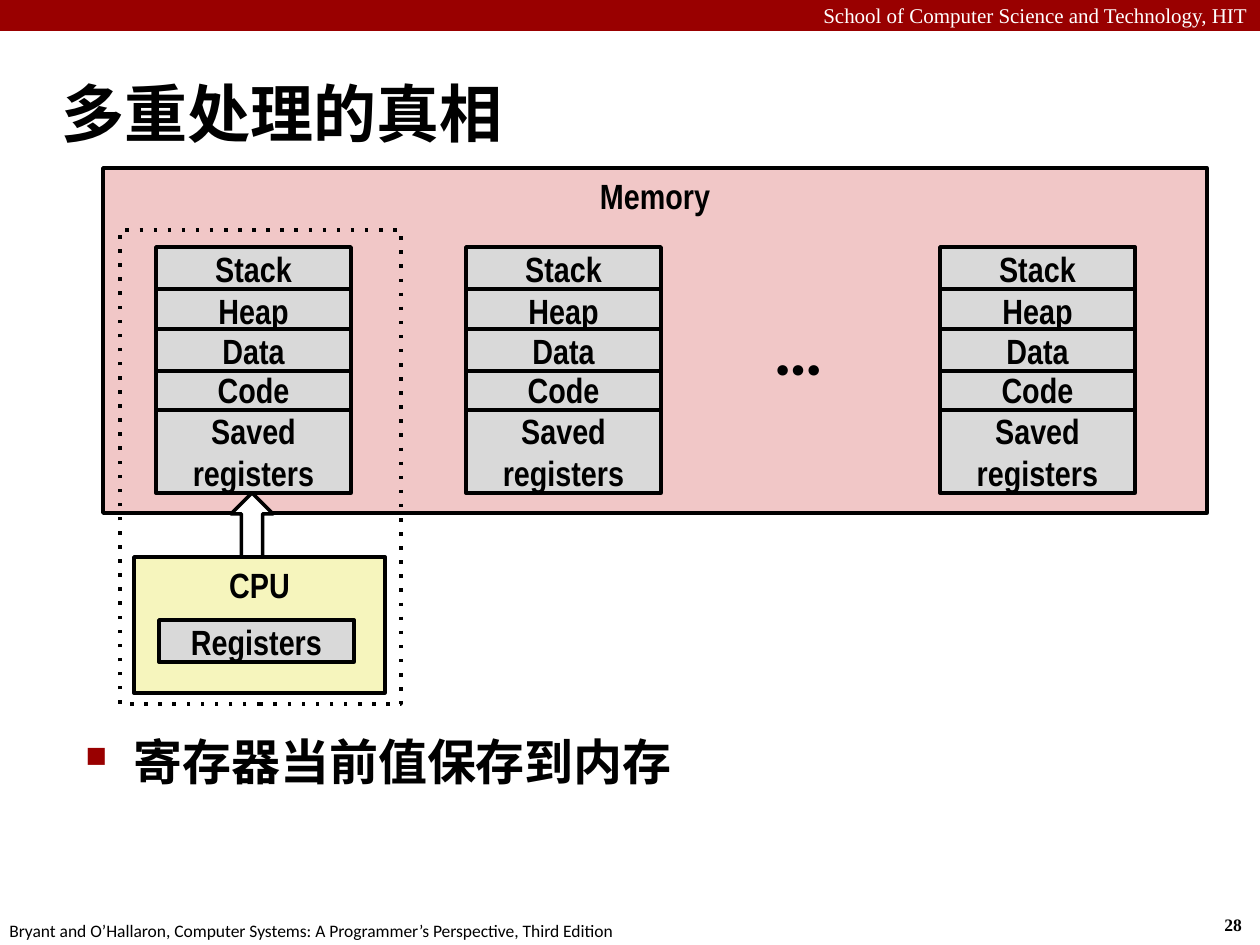
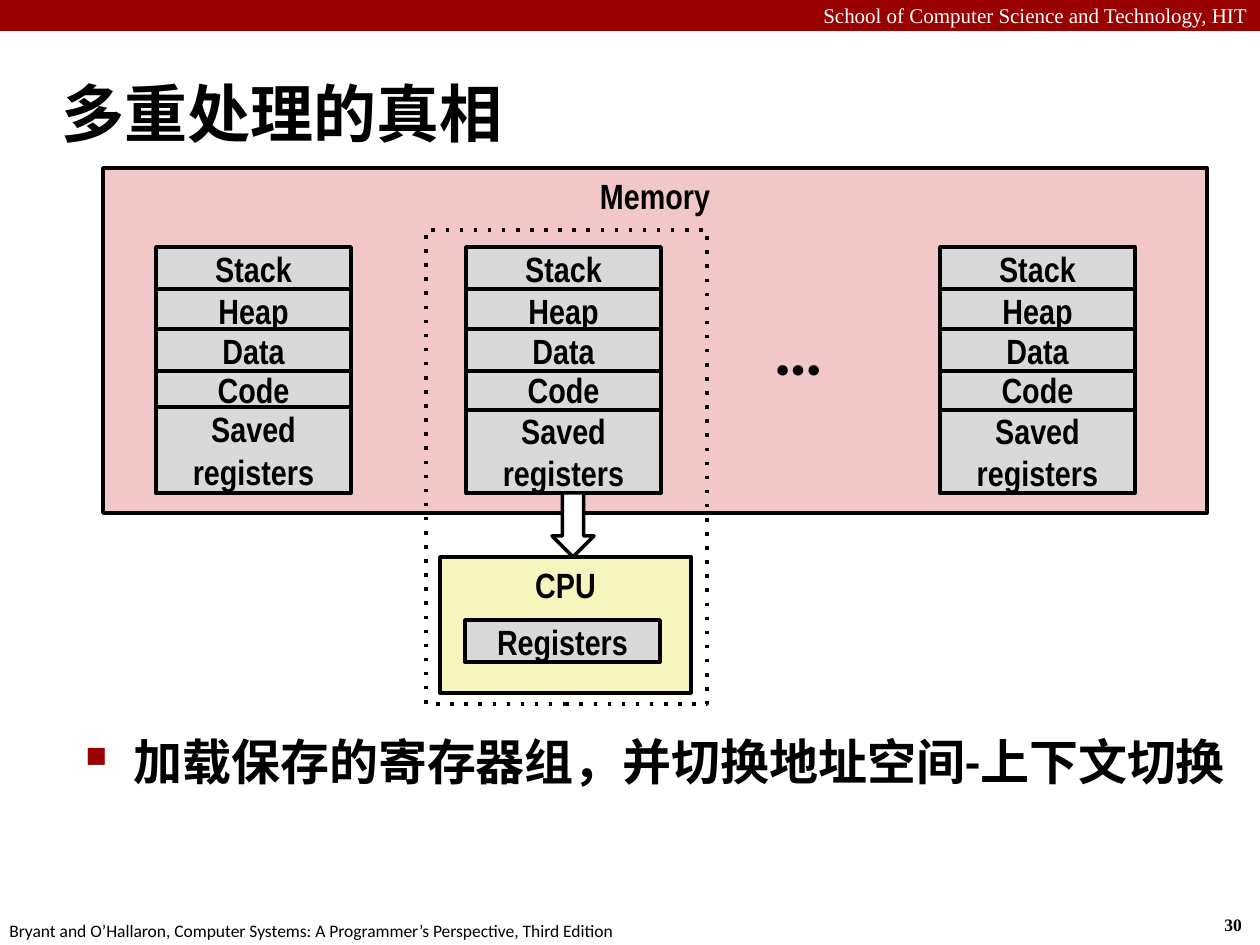
"""Build two slides on how one CPU switches between processes."""
from dataclasses import dataclass

from lxml.etree import SubElement
from pptx import Presentation
from pptx.dml.color import RGBColor
from pptx.enum.shapes import MSO_SHAPE
from pptx.enum.text import MSO_ANCHOR, MSO_AUTO_SIZE, PP_ALIGN
from pptx.oxml.ns import qn
from pptx.util import Emu, Pt

HEADER = "School of Computer Science and Technology, HIT"
FOOTER = "Bryant and O’Hallaron, Computer Systems: A Programmer’s Perspective, Third Edition"
TITLE = "多重处理的真相"
SLIDES = [
    {"number": "28", "point": "寄存器当前值保存到内存", "cpu_shift": 0,
     "arrow": (MSO_SHAPE.UP_ARROW, 231), "saved_rise": (0, 0, 0)},
    {"number": "30", "point": "加载保存的寄存器组，并切换地址空间-上下文切换", "cpu_shift": 306,
     "arrow": (MSO_SHAPE.DOWN_ARROW, 552), "saved_rise": (3, 0, 0)},
]
PROCESS_LEFTS = (156, 466, 940)
SEGMENTS = [("Stack", 247), ("Heap", 289), ("Code", 368), ("Data", 329)]
SAVED_TOP, SAVED_BOTTOM = 410, 493
BLOCK_W, BLOCK_H = 195, 42


@dataclass(frozen=True)
class Theme:
    """Colours, fonts and type sizes."""
    red: str = "990000"
    black: str = "000000"
    white: str = "FFFFFF"
    memory: str = "F1C7C7"
    block: str = "D9D9D9"
    cpu: str = "F6F5BD"
    sans: str = "Calibri"
    serif: str = "Times New Roman"
    narrow: str = "Arial Narrow"
    title: int = 36
    body: int = 28
    label: int = 20
    dots: int = 40
    header: int = 12
    footer: int = 10
    line: int = 2


T = Theme()


def px(n):
    """Turn px into EMU."""
    return Emu(round(n * 914400 / 126))


def rgb(value):
    """Turn a hex string into a colour."""
    return RGBColor.from_string(value)


def write(sp, text, size, font, color=T.black, bold=True, align=PP_ALIGN.LEFT,
          anchor=MSO_ANCHOR.TOP):
    """Fill a shape with one formatted paragraph and return it."""
    tf = sp.text_frame
    tf.word_wrap = True
    tf.vertical_anchor = anchor
    p = tf.paragraphs[0]
    p.text = text
    p.alignment = align
    for r in p.runs:
        r.font.size, r.font.name, r.font.bold = Pt(size), font, bold
        r.font.color.rgb = rgb(color)
    return p


def add_text(s, box, *args, fit=False, **style):
    """Add a text box, unwrapped and fitted to its text if asked."""
    sp = s.shapes.add_textbox(*map(px, box))
    p = write(sp, *args, **style)
    if fit:
        sp.text_frame.word_wrap = False
        sp.text_frame.auto_size = MSO_AUTO_SIZE.SHAPE_TO_FIT_TEXT
    return p


def add_box(s, box, fill=None, text="", kind=MSO_SHAPE.RECTANGLE, outlined=True,
            anchor=MSO_ANCHOR.MIDDLE):
    """Add a preset shape with an optional centred label."""
    sp = s.shapes.add_shape(kind, *map(px, box))
    sp.shadow.inherit = False
    if fill:
        sp.fill.solid()
        sp.fill.fore_color.rgb = rgb(fill)
    else:
        sp.fill.background()
    if outlined:
        sp.line.color.rgb = rgb(T.black)
        sp.line.width = Pt(T.line)
    else:
        sp.line.fill.background()
    if text:
        write(sp, text, T.label, T.narrow, align=PP_ALIGN.CENTER, anchor=anchor)
    return sp


def hang(p, indent):
    """Give a paragraph a hanging indent in px."""
    pPr = p._p.get_or_add_pPr()
    pPr.set("marL", str(px(indent)))
    pPr.set("indent", str(-px(indent)))
    return pPr


def add_frame(s, number, point):
    """Add the band, header, footer, title and bullet."""
    add_box(s, (0, 0, 1260, 31), T.red, outlined=False)
    add_text(s, (0, -4, 1260, 38), HEADER, T.header, T.serif, T.white,
             bold=False, align=PP_ALIGN.RIGHT)
    add_text(s, (1212, 908, 47, 34), number, T.footer, T.serif, fit=True)
    add_text(s, (-3, 914, 640, 34), FOOTER, T.footer, T.sans, bold=False, fit=True)
    hang(add_text(s, (49, 60, 1169, 105), TITLE, T.title, T.sans,
                  anchor=MSO_ANCHOR.MIDDLE), 16)
    pPr = hang(add_text(s, (73, 725, 1176, 73), point, T.body, T.sans), 48)
    SubElement(SubElement(pPr, qn("a:buClr")), qn("a:srgbClr"), val=T.red)
    SubElement(pPr, qn("a:buSzPct"), val="60000")
    SubElement(pPr, qn("a:buChar"), char="■")


def add_memory(s, saved_rise):
    """Add the memory area and its processes."""
    add_box(s, (103, 168, 1104, 345), T.memory, "Memory", anchor=MSO_ANCHOR.TOP)
    for left, rise in zip(PROCESS_LEFTS, saved_rise):
        for name, top in SEGMENTS:
            add_box(s, (left, top, BLOCK_W, BLOCK_H), T.block, name)
        top = SAVED_TOP - rise
        add_box(s, (left, top, BLOCK_W, SAVED_BOTTOM - top), T.block, "Saved registers")
    add_text(s, (761, 299, 77, 97), "…", T.dots, T.sans, fit=True)


def add_cpu(s, shift, arrow):
    """Add the CPU, the dotted frame around its process and the arrow."""
    add_box(s, (134 + shift, 557, 251, 136), T.cpu, "CPU", anchor=MSO_ANCHOR.TOP)
    add_box(s, (159 + shift, 620, BLOCK_W, BLOCK_H), T.block, "Registers")
    active = add_box(s, (120 + shift, 230, 281, 474))
    SubElement(active.element.spPr.find(qn("a:ln")), qn("a:prstDash"), val="dot")
    kind, left = arrow
    add_box(s, (left, SAVED_BOTTOM, 42, 64), T.white, kind=kind)


def main():
    """Build and save the slides."""
    prs = Presentation()
    prs.slide_width, prs.slide_height = px(1260), px(945)
    for content in SLIDES:
        s = prs.slides.add_slide(prs.slide_layouts[6])
        add_frame(s, content["number"], content["point"])
        add_memory(s, content["saved_rise"])
        add_cpu(s, content["cpu_shift"], content["arrow"])
    prs.save("out.pptx")


if __name__ == "__main__":
    main()
